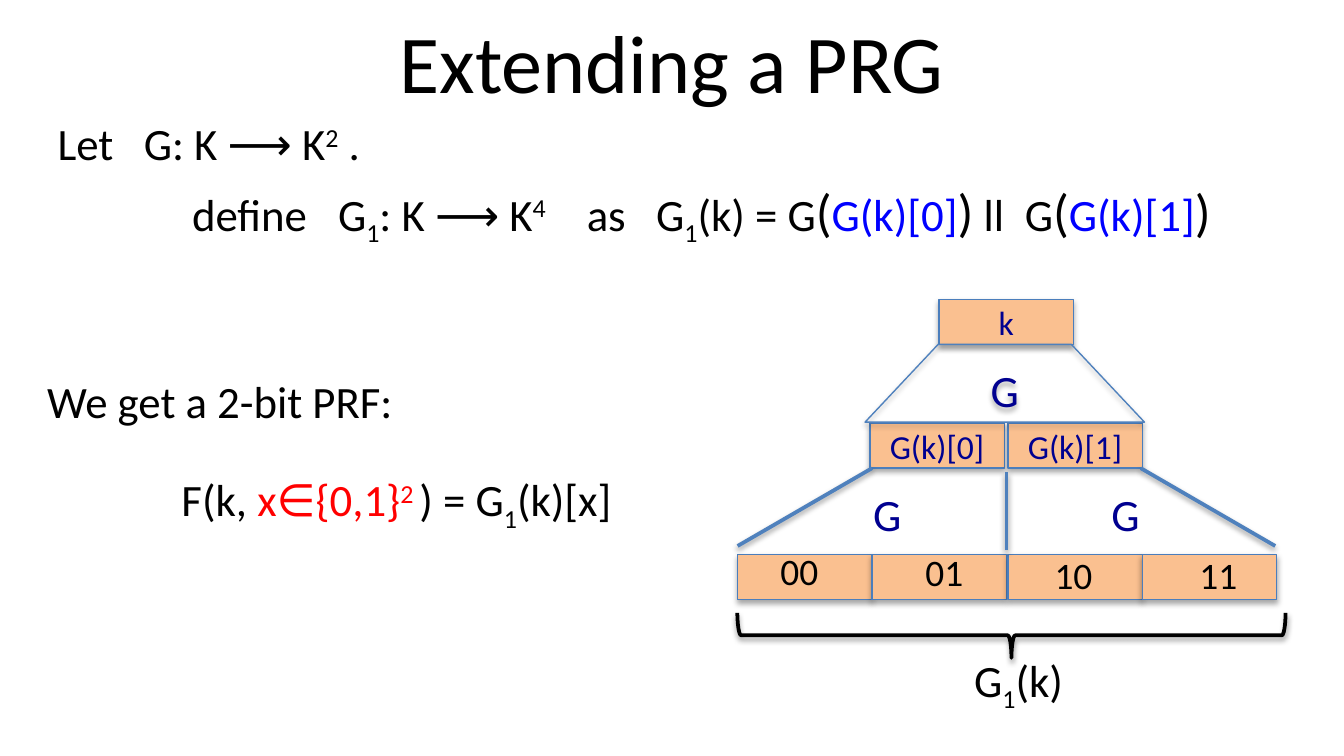
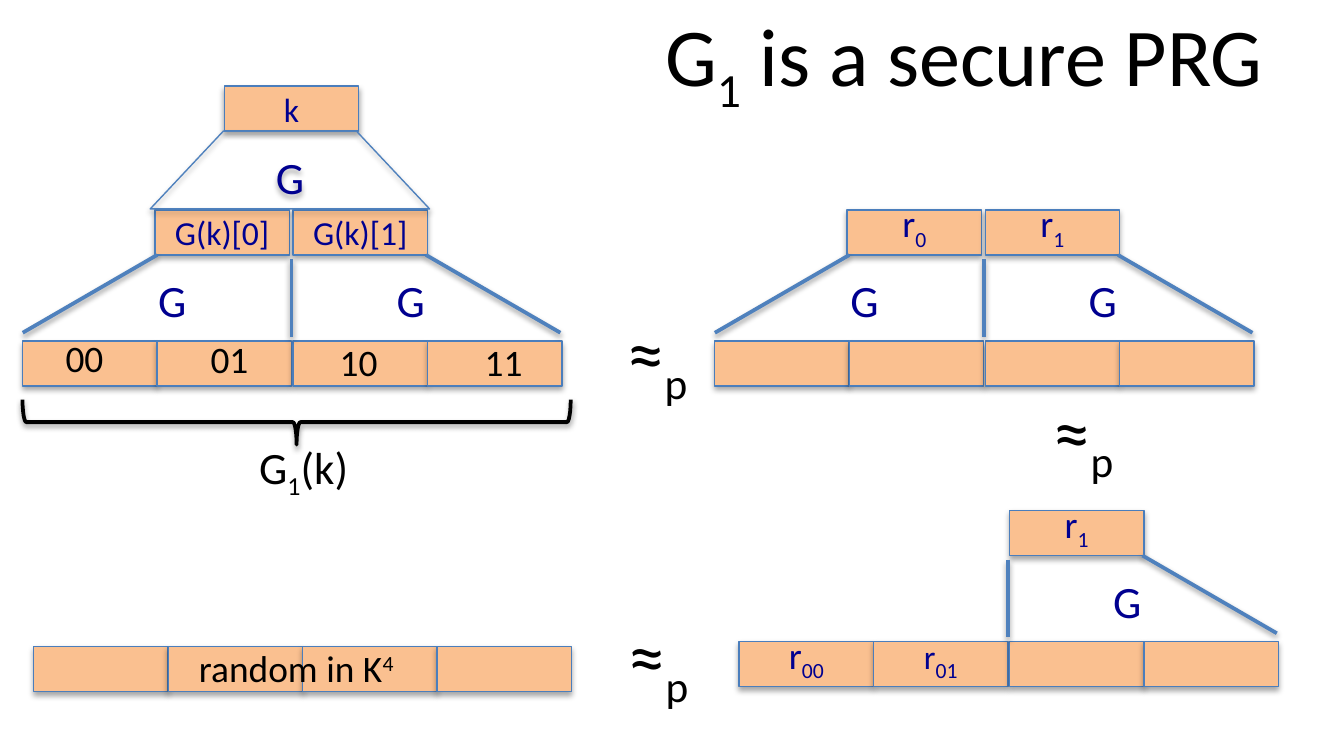
from lxml import etree
from pptx import Presentation
from pptx.dml.color import RGBColor
from pptx.enum.shapes import MSO_CONNECTOR, MSO_SHAPE
from pptx.enum.text import MSO_ANCHOR, PP_ALIGN
from pptx.oxml.ns import qn
from pptx.util import Cm, Pt

LEFT, CENTER, RIGHT = PP_ALIGN.LEFT, PP_ALIGN.CENTER, PP_ALIGN.RIGHT
TOP, MIDDLE = MSO_ANCHOR.TOP, MSO_ANCHOR.MIDDLE
RECTANGLE, TRAPEZOID = MSO_SHAPE.RECTANGLE, MSO_SHAPE.TRAPEZOID
BRACE = MSO_SHAPE.RIGHT_BRACE
STRAIGHT = MSO_CONNECTOR.STRAIGHT

FONT = "Calibri"
COLORS = {
    "text": "000000", "navy": "000090", "blue": "0000FF", "red": "FF0000",
    "cell": "FAC090", "border": "4B7EBC", "line": "4F81BD",
}

# Content: a paragraph is a list of runs, a run is text or (text, format)
SUB, SUP = {"baseline": -25000}, {"baseline": 30000}
BIG, BLUE = {"size": 28}, {"color": "blue"}
RED, RED_SUP = {"color": "red"}, {"color": "red", **SUP}

EXTEND_TITLE = ["Extending a PRG"]
SECURE_TITLE = ["G", ("1", SUB), " is a secure PRG"]
LET = ["Let\tG: K ⟶ K", ("2", SUP), " ."]
DEFINE = [
    "\tdefine\tG", ("1", SUB), ": K ⟶ K", ("4", SUP), "\tas\tG", ("1", SUB),
    "(k) = G", ("(", BIG), ("G(k)[0]", BLUE), (")", BIG), " ll\tG",
    ("(", BIG), ("G(k)[1]", BLUE), (")", BIG),
]
PRF = ["We get a 2-bit PRF:"]
PRF_FORMULA = ["\tF(k, ", ("x∈{0,1}", RED), ("2 ", RED_SUP), ") = G",
               ("1", SUB), "(k)[x]"]
OUTPUT = ["G", ("1", SUB), "(k)"]
RANDOM = ["random in K", ("4", SUP)]
APPROX = ["≈", ("p", SUB)]
R0, R1 = ["r", ("0", SUB)], ["r", ("1", SUB)]
R00 = ["r", ("00", SUB)]
R01 = [("r", {"size": 18}), ("01", {"size": 20, **SUB})]
SEEDS = [["G(k)[0]"], ["G(k)[1]"]]
LEAF_LABELS = [("00", 0.56, 4.57), ("01", 3.30, 4.60),
               ("10", 5.74, 4.65), ("11", 8.48, 4.65)]
APPROX_PLACES = [(11.61, 5.66), (19.66, 7.14), (11.63, 11.38)]

# Diagram measures in cm
CELL_WIDTH, CELL_HEIGHT = 2.54, 0.85
HALF_STEP = 5.11        # left pair of leaves to right pair
LEAF_DROP = 1.63        # parent bottom to leaf top
SLANT_HEIGHT = 1.47
SEED_DROP = 2.34        # top of k to top of the second row


def rgb(name):
    return RGBColor.from_string(COLORS[name])


def write(shape, *paragraphs, size=24, color="text", align=LEFT, anchor=TOP,
          wrap=True, bottom=0.13, gap=0, tabs=()):
    frame = shape.text_frame
    frame.word_wrap = wrap
    frame.vertical_anchor = anchor
    frame.margin_left = frame.margin_right = Cm(0.25)
    frame.margin_top, frame.margin_bottom = Cm(0.13), Cm(bottom)
    for index, runs in enumerate(paragraphs):
        paragraph = frame.add_paragraph() if index else frame.paragraphs[0]
        paragraph.alignment = align
        if index and gap:
            paragraph.space_before = Pt(gap)
        if tabs:
            properties = paragraph._p.get_or_add_pPr()
            tab_list = etree.SubElement(properties, qn("a:tabLst"))
            for position in tabs[index]:
                etree.SubElement(tab_list, qn("a:tab"),
                                 pos=str(Cm(position)), algn="l")
        for item in runs:
            text, style = (item, {}) if isinstance(item, str) else item
            run = paragraph.add_run()
            run.text = text
            run.font.name = FONT
            run.font.size = Pt(style.get("size", size))
            run.font.color.rgb = rgb(style.get("color", color))
            if "baseline" in style:
                run._r.get_or_add_rPr().set("baseline", str(style["baseline"]))


def add_text(slide, left, top, width, height, *paragraphs, **style):
    box = slide.shapes.add_textbox(Cm(left), Cm(top), Cm(width), Cm(height))
    write(box, *paragraphs, **style)


def finish(shape, color, width, distance=1.6, alpha=38):
    """Set the outline and the soft shadow below the shape."""
    shape.line.color.rgb = rgb(color)
    shape.line.width = Pt(width)
    effects = etree.SubElement(shape._element.spPr, qn("a:effectLst"))
    shadow = etree.SubElement(
        effects, qn("a:outerShdw"), blurRad=str(Pt(3.1)),
        dist=str(Pt(distance)), dir="5400000", rotWithShape="0")
    black = etree.SubElement(shadow, qn("a:srgbClr"), val=COLORS["text"])
    etree.SubElement(black, qn("a:alpha"), val=str(alpha * 1000))


def add_shape(slide, kind, left, top, width, height):
    return slide.shapes.add_shape(kind, Cm(left), Cm(top), Cm(width), Cm(height))


def add_cell(slide, left, top, runs=None, **style):
    cell = add_shape(slide, RECTANGLE, left, top, CELL_WIDTH, CELL_HEIGHT)
    cell.fill.solid()
    cell.fill.fore_color.rgb = rgb("cell")
    finish(cell, "border", 0.75, 1.8, 35)
    if runs:
        style = {"size": 18, **style}
        write(cell, runs, color="navy", align=CENTER, anchor=MIDDLE, **style)


def add_line(slide, x1, y1, x2, y2):
    line = slide.shapes.add_connector(STRAIGHT, Cm(x1), Cm(y1), Cm(x2), Cm(y2))
    finish(line, "line", 2)


def add_divider(slide, x, top):
    add_line(slide, x, top + 0.08, x, top + 0.08 + SLANT_HEIGHT)


def add_half(slide, left, top, right_side):
    """Expand one parent cell, whose bottom is at top, into two leaves."""
    for column in range(2):
        add_cell(slide, left + column * CELL_WIDTH, top + LEAF_DROP)
    start, end = (2.51, 5.05) if right_side else (CELL_WIDTH, 0)
    add_line(slide, left + start, top, left + end, top + SLANT_HEIGHT)
    add_text(slide, left + (0 if right_side else 2.31), top, 2.74, 1.7, ["G"],
             color="navy", align=RIGHT if right_side else LEFT, anchor=MIDDLE)


def add_expansion(slide, left, top, parents, **style):
    """Draw two parent cells and the four leaves below them."""
    for column, runs in enumerate(parents):
        add_cell(slide, left + 2.5 + column * 2.61, top, runs, **style)
    bottom = top + CELL_HEIGHT
    add_half(slide, left, bottom, False)
    add_half(slide, left + HALF_STEP, bottom, True)
    add_divider(slide, left + 2 * CELL_WIDTH, bottom)


def add_full_tree(slide, left, top):
    add_cell(slide, left + 3.81, top, ["k"])
    add_expansion(slide, left, top + SEED_DROP, SEEDS)
    funnel = add_shape(slide, TRAPEZOID, left + 2.41, top + CELL_HEIGHT,
                       5.28, SLANT_HEIGHT)
    funnel.adjustments[0] = 0.94
    funnel.fill.background()
    finish(funnel, "line", 0.75, 1.8, 35)
    write(funnel, ["G"], color="navy", align=CENTER, anchor=MIDDLE)
    for label, x, y in LEAF_LABELS:
        add_text(slide, left + x, top + y, 1.24, 1.11, [label], size=20,
                 wrap=False)
    brace = add_shape(slide, BRACE, left + 4.75, top + 1.17, 0.85, 10.36)
    brace.rotation = 90
    brace.fill.background()
    finish(brace, "text", 2)
    add_text(slide, left + 4.22, top + 6.55, 2.26, 1.27, OUTPUT, wrap=False)


def add_slide(presentation, title, align):
    slide = presentation.slides.add_slide(presentation.slide_layouts[6])
    add_text(slide, 1.27, -0.05, 22.86, 2.39, title, size=44, align=align,
             anchor=MIDDLE)
    return slide


def build_extending(presentation):
    slide = add_slide(presentation, EXTEND_TITLE, CENTER)
    add_text(slide, 0.84, 2.06, 22.86, 3.38, LET, DEFINE, gap=5,
             tabs=[(1.63,), (2.54, 5.3, 10, 11.31, 18.28)])
    add_full_tree(slide, 13.94, 5.66)
    add_text(slide, 0.64, 6.93, 11.56, 4.19, PRF, PRF_FORMULA, gap=24,
             wrap=False, tabs=[(), (2.54,)])


def build_secure(presentation):
    slide = add_slide(presentation, SECURE_TITLE, RIGHT)
    add_full_tree(slide, 0.43, 1.63)
    raised = {"size": 20, "bottom": 0.38}
    add_expansion(slide, 13.51, 3.97, [R0, R1], **raised)

    for column in range(4):
        add_cell(slide, 0.64 + column * CELL_WIDTH, 12.22)
    add_text(slide, 3.51, 12.07, 4.29, 1.12, RANDOM, size=20, wrap=False)

    hybrid_left, hybrid_top = 13.97, 9.65
    half_left, bottom = hybrid_left + HALF_STEP, hybrid_top + CELL_HEIGHT
    add_cell(slide, half_left, hybrid_top, R1, **raised)
    for column, runs in enumerate([R00, R01]):
        add_cell(slide, hybrid_left + column * CELL_WIDTH, bottom + LEAF_DROP,
                 runs, **raised)
    add_half(slide, half_left, bottom, True)
    add_divider(slide, hybrid_left + 2 * CELL_WIDTH, bottom)

    for left, top in APPROX_PLACES:
        add_text(slide, left, top, 1.73, 1.96, APPROX, size=40, wrap=False)


def main():
    presentation = Presentation()
    presentation.slide_width, presentation.slide_height = Cm(25.4), Cm(14.29)
    build_extending(presentation)
    build_secure(presentation)
    presentation.save("out.pptx")


if __name__ == "__main__":
    main()
